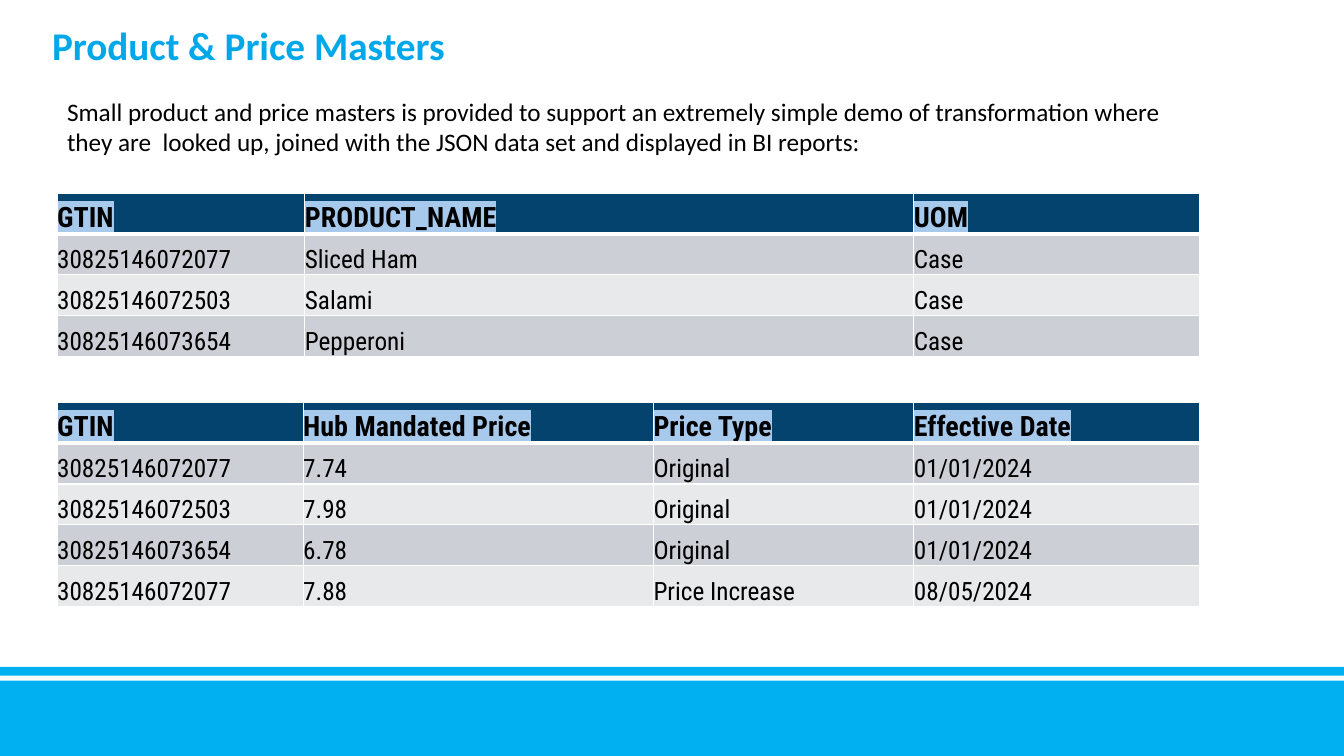
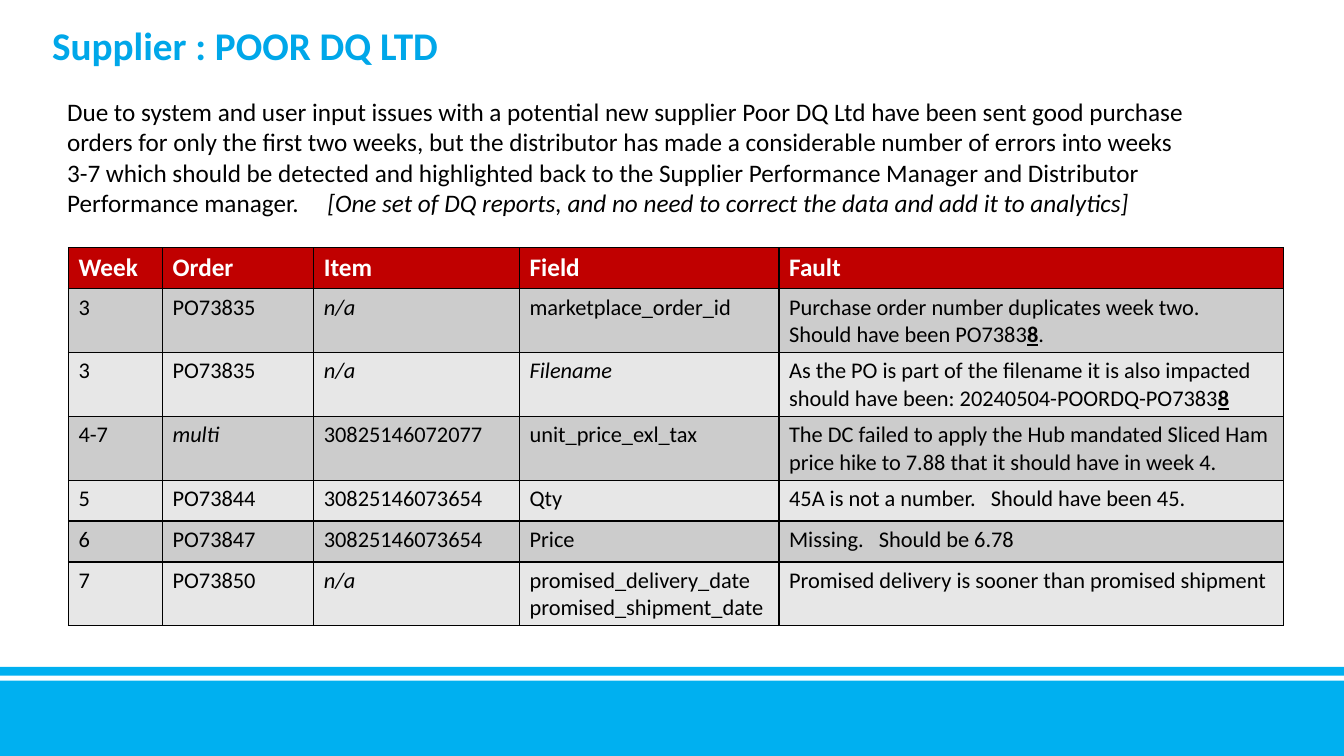
import dataclasses

import lxml.etree
import pptx
import pptx.dml.color
import pptx.enum.shapes
import pptx.enum.text
import pptx.oxml.ns
import pptx.util

WIDE = pptx.util.Inches(13.33)
HIGH = pptx.util.Inches(7.5)
COLS, ROWS = 160, 90
ROW = 4.87
COLOR = {
    "black": "000000",
    "white": "FFFFFF",
    "title": "00A7E9",
    "band": "00B0F0",
    "navy": "04436E",
    "mark": "A6C9EC",
    "slate": "CCCFD5",
    "mist": "E7E9EB",
    "red": "C00000",
    "gray": "CCCCCC",
    "pale": "E7E7E7",
}


@dataclasses.dataclass(frozen=True)
class Part:
    text: str
    bold: bool = False
    slant: bool = False
    under: bool = False


Rich = str | Part | tuple[Part, ...]


@dataclasses.dataclass(frozen=True)
class Type:
    font: str
    size: int
    color: str
    bold: bool = False
    mark: str | None = None


@dataclasses.dataclass(frozen=True)
class Box:
    left: float
    top: float
    wide: float
    high: float


@dataclasses.dataclass(frozen=True)
class Look:
    head: Type
    body: Type
    fill: str
    bands: tuple[str, str]
    line: str
    rule: int
    tight: bool


@dataclasses.dataclass(frozen=True)
class Grid:
    left: float
    top: float
    cols: tuple[float, ...]
    look: Look
    rows: tuple[tuple[Rich, ...], ...]


@dataclasses.dataclass(frozen=True)
class Page:
    title: str
    intro: Rich
    high: float
    grids: tuple[Grid, ...]


TITLE = Type("Calibri", 28, "title", bold=True)
INTRO = Type("Calibri", 18, "black")
TITLE_BOX = Box(5, 1.9, 150, 10.4)
BANDS = (
    (Box(0, 79.4, COLS, ROWS - 79.4), "band"),
    (Box(0, 80.45, COLS, 0.6), "white"),
)
MASTER = Look(
    Type("Roboto Condensed", 20, "black", bold=True, mark="mark"),
    Type("Roboto Condensed", 18, "black"),
    "navy", ("slate", "mist"), "white", 3, True,
)
FAULT = Look(
    Type("Calibri", 18, "white", bold=True),
    Type("Calibri", 16, "black"),
    "red", ("gray", "pale"), "black", 1, False,
)
NONE = Part("n/a", slant=True)
DIGIT = Part("8", bold=True, under=True)
HAM, SALAMI, PEPPER = "30825146072077", "30825146072503", "30825146073654"

PAGES = (
    Page(
        "Product & Price Masters",
        "Small product and price masters is provided to support an extremely simple demo of "
        "transformation where they are  looked up, joined with the JSON data set and displayed "
        "in BI reports:",
        12.1,
        (
            Grid(6.8, 23, (29.5, 72.5, 34), MASTER, (
                ("GTIN", "PRODUCT_NAME", "UOM"),
                (HAM, "Sliced Ham", "Case"),
                (SALAMI, "Salami", "Case"),
                (PEPPER, "Pepperoni", "Case"),
            )),
            Grid(6.8, 47.9, (29.3, 41.7, 31, 34), MASTER, (
                ("GTIN", "Hub Mandated Price", "Price Type", "Effective Date"),
                (HAM, "7.74", "Original", "01/01/2024"),
                (SALAMI, "7.98", "Original", "01/01/2024"),
                (PEPPER, "6.78", "Original", "01/01/2024"),
                (HAM, "7.88", "Price Increase", "08/05/2024"),
            )),
        ),
    ),
    Page(
        "Supplier : POOR DQ LTD",
        (
            Part("Due to system and user input issues with a potential new supplier Poor DQ Ltd "
                 "have been sent good purchase orders for only the first two weeks, but the "
                 "distributor has made a considerable number of errors into weeks 3-7 which "
                 "should be detected and highlighted back to the Supplier Performance Manager "
                 "and Distributor Performance manager.     "),
            Part("[One set of DQ reports, and no need to correct the data and add it to "
                 "analytics]", slant=True),
        ),
        15.7,
        (
            Grid(8.15, 29.5, (11.2, 18, 24.5, 30.9, 60.1), FAULT, (
                ("Week", "Order", "Item", "Field", "Fault"),
                ("3", "PO73835", NONE, "marketplace_order_id",
                 (Part("Purchase order number duplicates week two.   Should have been PO7383"),
                  DIGIT, Part("."))),
                ("3", "PO73835", NONE, Part("Filename", slant=True),
                 (Part("As the PO is part of the filename it is also impacted\n"
                       "should have been: 20240504-POORDQ-PO7383"), DIGIT)),
                ("4-7", Part("multi", slant=True), HAM, "unit_price_exl_tax",
                 "The DC failed to apply the Hub mandated Sliced Ham price hike to 7.88 that it "
                 "should have in week 4."),
                ("5", "PO73844", PEPPER, "Qty", "45A is not a number.   Should have been 45."),
                ("6", "PO73847", PEPPER, "Price", "Missing.   Should be 6.78"),
                ("7", "PO73850", NONE, "promised_delivery_date promised_shipment_date",
                 "Promised delivery is sooner than promised shipment"),
            )),
        ),
    ),
)


def span(cells: float) -> pptx.util.Emu:
    return pptx.util.Emu(round(cells * WIDE / COLS))


def place(box: Box) -> tuple[pptx.util.Emu, ...]:
    return span(box.left), span(box.top), span(box.wide), span(box.high)


def tint(name: str) -> pptx.dml.color.RGBColor:
    return pptx.dml.color.RGBColor.from_string(COLOR[name])


def node(tag: str, **attrs: str) -> lxml.etree.ElementBase:
    return pptx.oxml.parse_xml(
        f"<a:{tag} {pptx.oxml.ns.nsdecls('a')} "
        + " ".join(f'{key}="{value}"' for key, value in attrs.items()) + "/>"
    )


def style(run, kind: Type, part: Part) -> None:
    font = run.font
    font.name = kind.font
    font.size = pptx.util.Pt(kind.size)
    font.color.rgb = tint(kind.color)
    font.bold = kind.bold or part.bold
    font.italic = part.slant
    font.underline = part.under
    if kind.mark:
        mark = node("highlight")
        mark.append(node("srgbClr", val=COLOR[kind.mark]))
        run._r.rPr.find(pptx.oxml.ns.qn("a:solidFill")).addnext(mark)


def write(frame, rich: Rich, kind: Type) -> None:
    if isinstance(rich, str):
        rich = Part(rich)
    parts = rich if isinstance(rich, tuple) else (rich,)
    para = frame.paragraphs[0]
    para.text = parts[0].text
    para.alignment = pptx.enum.text.PP_ALIGN.LEFT
    for run in para.runs:
        style(run, kind, parts[0])
    for part in parts[1:]:
        run = para.add_run()
        run.text = part.text
        style(run, kind, part)


def edge(cell, color: str, sides: dict[str, int]) -> None:
    props = cell._tc.get_or_add_tcPr()
    for order, (side, points) in enumerate(sides.items()):
        line = node(f"ln{side}", w=str(pptx.util.Pt(points)))
        fill = node("solidFill")
        fill.append(node("srgbClr", val=COLOR[color]))
        line.append(fill)
        props.insert(order, line)


def draw_grid(slide, grid: Grid) -> None:
    look = grid.look
    box = Box(grid.left, grid.top, sum(grid.cols), ROW * len(grid.rows))
    table = slide.shapes.add_table(len(grid.rows), len(grid.cols), *place(box)).table
    for col, wide in zip(table.columns, grid.cols):
        col.width = span(wide)
    for row_no, row in enumerate(grid.rows):
        table.rows[row_no].height = span(ROW)
        head = row_no == 0
        fill = look.fill if head else look.bands[(row_no - 1) % 2]
        sides = {
            "L": 1,
            "R": 1,
            "T": look.rule if row_no == 1 else 1,
            "B": look.rule if head else 1,
        }
        for col_no, rich in enumerate(row):
            cell = table.cell(row_no, col_no)
            cell.fill.solid()
            cell.fill.fore_color.rgb = tint(fill)
            edge(cell, look.line, sides)
            if look.tight:
                cell.margin_left = cell.margin_right = 0
                cell.margin_top = cell.margin_bottom = 0
                cell.vertical_anchor = pptx.enum.text.MSO_ANCHOR.BOTTOM
            write(cell.text_frame, rich, look.head if head else look.body)


def draw_bands(slide) -> None:
    for box, color in BANDS:
        band = slide.shapes.add_shape(pptx.enum.shapes.MSO_SHAPE.RECTANGLE, *place(box))
        band.shadow.inherit = False
        band.fill.solid()
        band.fill.fore_color.rgb = tint(color)
        band.line.fill.background()
        slide.slide_layout.shapes.element.append(band.element)


def draw_page(slide, page: Page) -> None:
    title = slide.shapes.title
    title.left, title.top, title.width, title.height = place(TITLE_BOX)
    title.text_frame.vertical_anchor = pptx.enum.text.MSO_ANCHOR.TOP
    title.text_frame.auto_size = pptx.enum.text.MSO_AUTO_SIZE.NONE
    write(title.text_frame, page.title, TITLE)
    frame = slide.shapes.add_textbox(*place(Box(6.8, 10.9, 136, page.high))).text_frame
    frame.word_wrap = True
    frame.auto_size = pptx.enum.text.MSO_AUTO_SIZE.SHAPE_TO_FIT_TEXT
    write(frame, page.intro, INTRO)
    for grid in page.grids:
        draw_grid(slide, grid)


def main() -> None:
    deck = pptx.Presentation()
    deck.slide_width, deck.slide_height = WIDE, HIGH
    layout = deck.slide_layouts[5]
    slides = [deck.slides.add_slide(layout) for _ in PAGES]
    draw_bands(slides[0])
    for slide, page in zip(slides, PAGES):
        draw_page(slide, page)
    deck.save("out.pptx")


if __name__ == "__main__":
    main()
